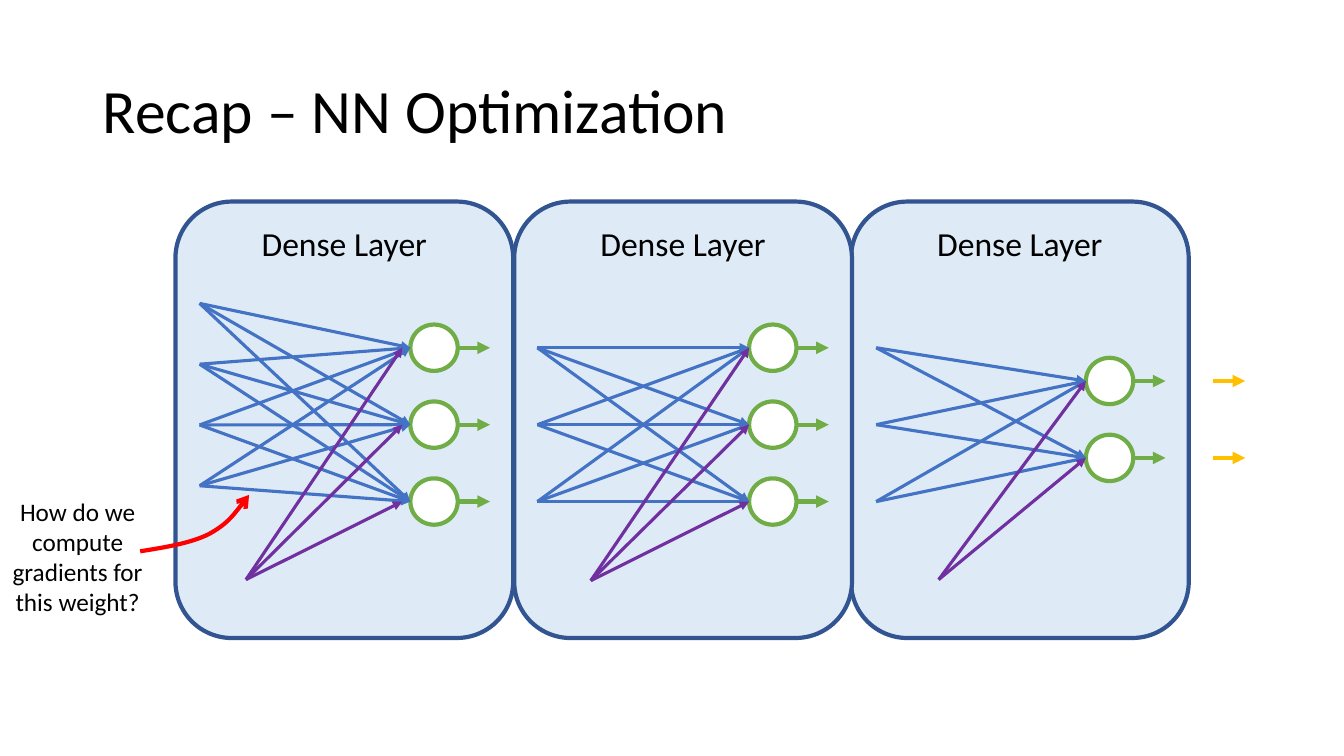
from dataclasses import dataclass

from lxml import etree
from pptx import Presentation
from pptx.dml.color import RGBColor
from pptx.enum.shapes import MSO_CONNECTOR, MSO_SHAPE
from pptx.enum.text import MSO_ANCHOR, PP_ALIGN
from pptx.oxml.ns import qn
from pptx.util import Inches, Pt

STRAIGHT = MSO_CONNECTOR.STRAIGHT
ROUNDED, OVAL = MSO_SHAPE.ROUNDED_RECTANGLE, MSO_SHAPE.OVAL
TOP, MIDDLE = MSO_ANCHOR.TOP, MSO_ANCHOR.MIDDLE
LEFT, CENTER = PP_ALIGN.LEFT, PP_ALIGN.CENTER

FONT = "Calibri"
COLORS = {
    "text": "000000",
    "panel": "DEEBF7",
    "panel_line": "325491",
    "neuron": "FFFFFF",
    "output": "70AD47",
    "weight": "4472C4",
    "bias": "7030A0",
    "prediction": "FFC000",
    "question": "FF0000",
}
PANEL_TOP, PANEL_W, PANEL_H = 2, 3.35, 4.33
NEURON_W, NEURON_H = 0.47, 0.46
ARROW_LEN = 0.32
PITCH = 0.763
PREDICTION_X = 12.03
QUESTION_CURVE = [
    (1.39, 5.47), (1.64, 5.43), (1.89, 5.39), (2.07, 5.3),
    (2.25, 5.2), (2.36, 5.06), (2.47, 4.91),
]


@dataclass
class DenseLayer:
    panel_x: float
    input_x: float
    inputs: list[float]
    neuron_x: float
    neurons: list[float]
    bias: tuple[float, float]
    bias_end_x: float


def rows(first: float, count: int, pitch: float = PITCH) -> list[float]:
    return [first + i * pitch for i in range(count)]


LAYERS = [
    DenseLayer(1.74, 1.98, rows(3.01, 4, 0.603), 4.07, rows(3.45, 3), (2.44, 5.75), 3.99),
    DenseLayer(5.1, 5.33, rows(3.45, 3), 7.43, rows(3.45, 3), (5.86, 5.76), 7.43),
    DenseLayer(8.44, 8.69, rows(3.45, 3), 10.77, rows(3.78, 2), (9.31, 5.75), 10.77),
]


def rgb(name: str) -> RGBColor:
    return RGBColor.from_string(COLORS[name])


def set_line(shape, color: str, width: float, arrow: str = "") -> None:
    shape.line.color.rgb = rgb(color)
    shape.line.width = Pt(width)
    if arrow:
        ln = shape.line._get_or_add_ln()
        etree.SubElement(ln, qn("a:tailEnd"), type=arrow)


def add_arrow(s, start: tuple[float, float], end: tuple[float, float],
              color: str, width: float) -> None:
    points = [Inches(v) for v in (*start, *end)]
    line = s.shapes.add_connector(STRAIGHT, *points)
    set_line(line, color, width, "triangle")
    etree.SubElement(line._element.spPr, qn("a:effectLst"))


def add_short_arrow(s, x: float, y: float, color: str) -> None:
    add_arrow(s, (x, y), (x + ARROW_LEN, y), color, 3)


def add_shape(s, kind, x: float, y: float, w: float, h: float, fill: str, line: str):
    sp = s.shapes.add_shape(kind, Inches(x), Inches(y), Inches(w), Inches(h))
    sp.shadow.inherit = False
    sp.fill.solid()
    sp.fill.fore_color.rgb = rgb(fill)
    set_line(sp, line, 3)
    return sp


def write(sp, text: str, size: float, align, anchor) -> None:
    tf = sp.text_frame
    tf.word_wrap = True
    tf.vertical_anchor = anchor
    p = tf.paragraphs[0]
    p.alignment = align
    r = p.add_run()
    r.text = text
    r.font.name = FONT
    r.font.size = Pt(size)
    r.font.color.rgb = rgb("text")


def add_title(s, text: str) -> None:
    title = s.shapes.title
    title.left, title.top = Inches(0.92), Inches(0.4)
    title.width, title.height = Inches(11.5), Inches(1.45)
    write(title, text, 44, LEFT, MIDDLE)
    title.text_frame.paragraphs[0].line_spacing = 0.9


def add_panel(s, layer: DenseLayer) -> None:
    panel = add_shape(s, ROUNDED, layer.panel_x, PANEL_TOP, PANEL_W, PANEL_H,
                      "panel", "panel_line")
    write(panel, "Dense Layer", 24, CENTER, TOP)


def add_network(s, layer: DenseLayer) -> None:
    """Draw a layer's neurons, then its weights, then its bias arrows."""
    for y in layer.neurons:
        add_shape(s, OVAL, layer.neuron_x, y - NEURON_H / 2, NEURON_W, NEURON_H,
                  "neuron", "output")
        add_short_arrow(s, layer.neuron_x + NEURON_W, y, "output")
    for y in layer.neurons:
        for input_y in layer.inputs:
            add_arrow(s, (layer.input_x, input_y), (layer.neuron_x, y), "weight", 2.25)
    for y in layer.neurons:
        add_arrow(s, layer.bias, (layer.bias_end_x, y), "bias", 2.25)


def add_curved_arrow(s, points: list[tuple[float, float]], color: str) -> None:
    """Draw a start point followed by Bezier triples (two controls and an end)."""
    start, *rest = [(Inches(x), Inches(y)) for x, y in points]
    builder = s.shapes.build_freeform(*start)
    builder.add_line_segments(rest, close=False)
    sp = builder.convert_to_shape()
    segments = list(sp._element.iter(qn("a:lnTo")))
    for i in range(0, len(segments), 3):
        curve = etree.Element(qn("a:cubicBezTo"))
        segments[i].addprevious(curve)
        for segment in segments[i:i + 3]:
            curve.append(segment[0])
            segment.getparent().remove(segment)
    sp.shadow.inherit = False
    sp.fill.background()
    set_line(sp, color, 3, "arrow")


def main() -> None:
    prs = Presentation()
    prs.slide_width, prs.slide_height = Inches(13.33), Inches(7.5)
    s = prs.slides.add_slide(prs.slide_layouts[5])
    add_title(s, "Recap – NN Optimization")
    for layer in reversed(LAYERS):
        add_panel(s, layer)
    for layer in LAYERS:
        add_network(s, layer)
    for y in LAYERS[-1].neurons:
        add_short_arrow(s, PREDICTION_X, y, "prediction")
    add_curved_arrow(s, QUESTION_CURVE, "question")
    question = s.shapes.add_textbox(Inches(-0.02), Inches(4.87), Inches(1.58), Inches(1.31))
    write(question, "How do we compute gradients for this weight?", 18, CENTER, TOP)
    prs.save("out.pptx")


if __name__ == "__main__":
    main()
